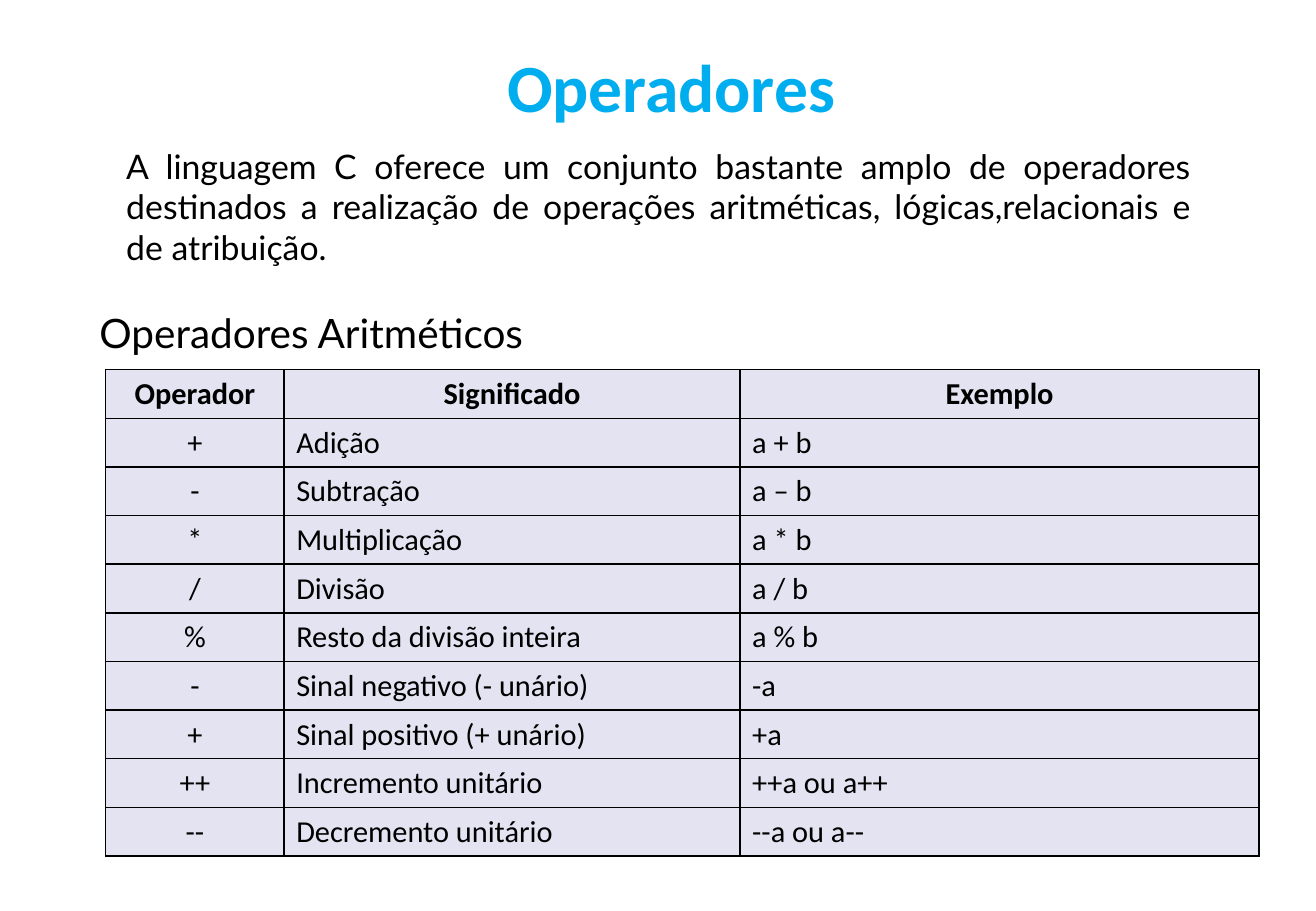
from lxml import etree
from pptx import Presentation
from pptx.dml.color import RGBColor
from pptx.enum.text import MSO_ANCHOR, MSO_AUTO_SIZE, PP_ALIGN
from pptx.oxml.ns import qn
from pptx.util import Cm, Pt

CENTER, JUSTIFY, LEFT = PP_ALIGN.CENTER, PP_ALIGN.JUSTIFY, PP_ALIGN.LEFT
MIDDLE = MSO_ANCHOR.MIDDLE
NO_FIT = MSO_AUTO_SIZE.NONE

BLACK = RGBColor(0x00, 0x00, 0x00)
CYAN = RGBColor(0x00, 0xAE, 0xEF)
LAVENDER = RGBColor(0xE3, 0xE3, 0xF1)

TITLE = {"name": "Calibri", "size": Pt(40), "bold": True}
INTRO = {"name": "Lato", "size": Pt(20), "bold": False}
HEADING = {"name": "Lato", "size": Pt(24), "bold": False}
HEADER = {"name": "Calibri", "size": Pt(18), "bold": True}
CELL = {"name": "Calibri", "size": Pt(18), "bold": False}

COLUMN_WIDTHS = (Cm(3.73), Cm(9.53), Cm(10.85))
ROW_HEIGHT = Cm(1.016)
OPERATORS = (
    ("Operador", "Significado", "Exemplo"),
    ("+", "Adição", "a + b"),
    ("-", "Subtração", "a – b"),
    ("*", "Multiplicação", "a * b"),
    ("/", "Divisão", "a / b"),
    ("%", "Resto da divisão inteira", "a % b"),
    ("-", "Sinal negativo (- unário)", "-a"),
    ("+", "Sinal positivo (+ unário)", "+a"),
    ("++", "Incremento unitário", "++a ou a++"),
    ("--", "Decremento unitário", "--a ou a--"),
)


def write(tf, text, style, align, color=BLACK):
    p = tf.paragraphs[0]
    p.alignment = align
    r = p.add_run()
    r.text = text
    for key, value in style.items():
        setattr(r.font, key, value)
    r.font.color.rgb = color


def add_title(s, text):
    sp = s.shapes.title
    sp.left, sp.top, sp.width, sp.height = Cm(1.43), Cm(0.71), Cm(25.2), Cm(2.16)
    tf = sp.text_frame
    tf.auto_size = NO_FIT
    tf.vertical_anchor = MIDDLE
    write(tf, text, TITLE, CENTER, CYAN)


def add_text(s, left, top, height, text, style, align):
    tf = s.shapes.add_textbox(left, top, Cm(22.76), height).text_frame
    tf.word_wrap = True
    write(tf, text, style, align)


def add_borders(cell):
    props = cell._tc.get_or_add_tcPr()
    for side in ("a:lnL", "a:lnR", "a:lnT", "a:lnB"):
        line = etree.SubElement(props, qn(side), w=str(Pt(1)))
        fill = etree.SubElement(line, qn("a:solidFill"))
        etree.SubElement(fill, qn("a:srgbClr"), val=str(BLACK))


def add_operator_table(s):
    table = s.shapes.add_table(
        len(OPERATORS), len(COLUMN_WIDTHS), Cm(2.21), Cm(7.73),
        sum(COLUMN_WIDTHS), ROW_HEIGHT * len(OPERATORS)).table
    table.horz_banding = False
    for column, width in zip(table.columns, COLUMN_WIDTHS):
        column.width = width
    for i, texts in enumerate(OPERATORS):
        table.rows[i].height = ROW_HEIGHT
        for j, text in enumerate(texts):
            cell = table.cell(i, j)
            add_borders(cell)
            cell.fill.solid()
            cell.fill.fore_color.rgb = LAVENDER
            write(cell.text_frame, text, HEADER if i == 0 else CELL,
                  CENTER if i == 0 or j == 0 else LEFT)


def main():
    prs = Presentation()
    prs.slide_width, prs.slide_height = Cm(27.51), Cm(19.05)
    s = prs.slides.add_slide(prs.slide_layouts.get_by_name("Title Only"))
    add_title(s, "Operadores")
    add_text(s, Cm(2.39), Cm(2.92), Cm(2.79),
             "A linguagem C oferece um conjunto bastante amplo de operadores "
             "destinados a realização de operações aritméticas, "
             "lógicas,relacionais e de atribuição.", INTRO, JUSTIFY)
    add_text(s, Cm(1.83), Cm(6.32), Cm(1.27),
             "Operadores Aritméticos", HEADING, LEFT)
    add_operator_table(s)
    prs.save("out.pptx")


if __name__ == "__main__":
    main()
